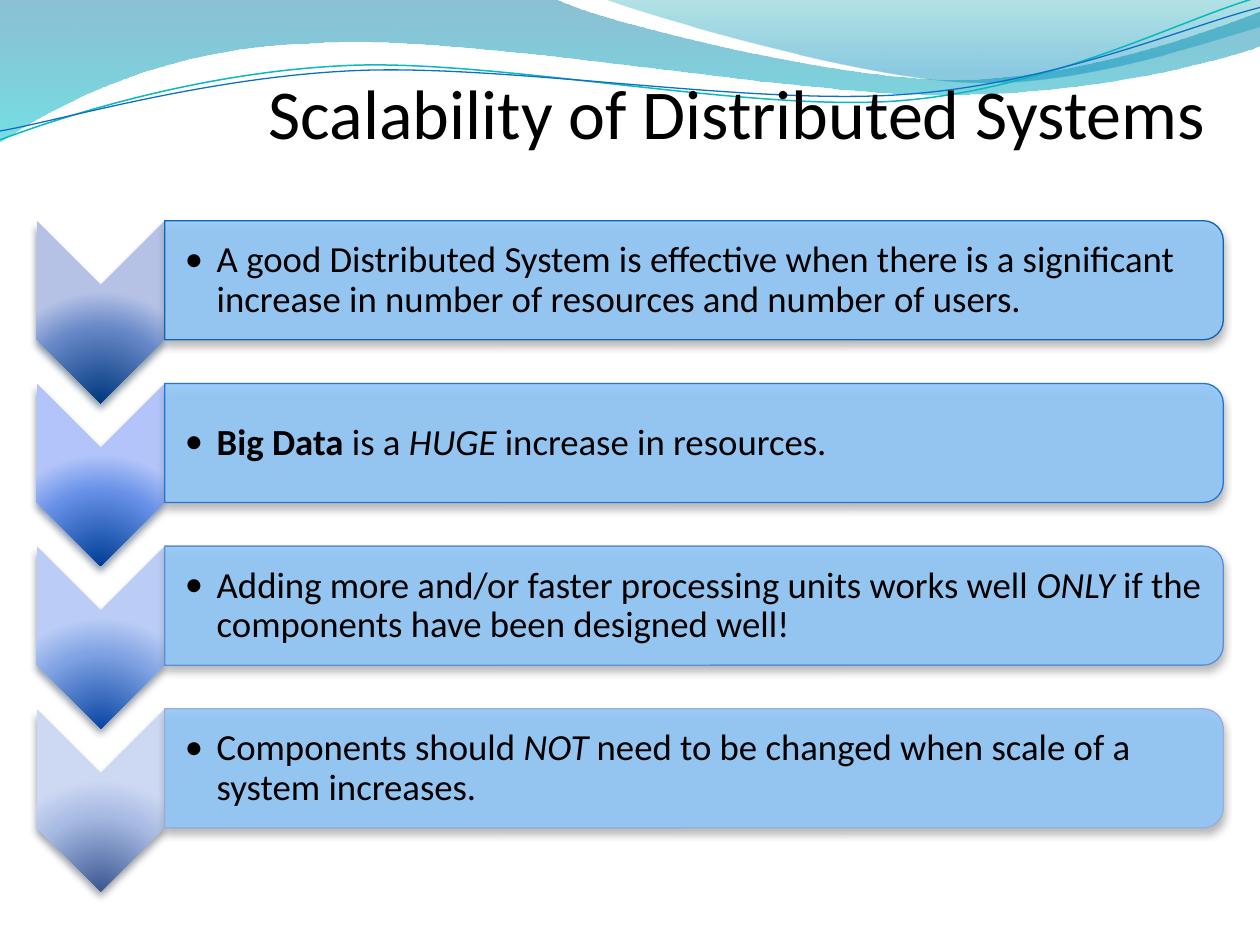
import lxml.etree
import math
import pptx
import pptx.dml.color
import pptx.enum.shapes
import pptx.enum.text
import pptx.oxml
import pptx.oxml.ns
import pptx.util

Cm, Pt = pptx.util.Cm, pptx.util.Pt
qn = pptx.oxml.ns.qn
PRESETS = pptx.enum.shapes.MSO_SHAPE
INCH = Cm(2.54)
UNITS = 1000  # freeform units to the inch

# Waves: a start point, then lines (one point) and Bézier curves (three points), in inches
BROAD_WAVE = [[(0, 0)], [(4.4, -0.01)],
              [(4.76, 0.17), (6.64, 0.63), (7.58, 0.63)],
              [(8.53, 0.63), (9.58, 0.26), (10, 0.09)], [(10.01, 0.36)],
              [(9.83, 0.44), (8.7, 0.76), (7.46, 0.75)],
              [(6.22, 0.75), (3.82, 0.28), (2.57, 0.34)],
              [(1.29, 0.36), (0.46, 0.83), (-0.01, 1.13)], [(0, 0)]]
RIGHT_WAVE = [[(4.79, -0.01)], [(5.09, 0.11), (6.82, 0.62), (7.69, 0.65)],
              [(8.56, 0.69), (9.61, 0.32), (10, 0.21)], [(10, 0)], [(4.79, -0.01)]]
TEAL_CURVE = [[(0, 1.11)], [(0.48, 0.93), (1.58, 0.57), (2.77, 0.52)],
              [(3.95, 0.47), (5.93, 0.89), (7.13, 0.8)],
              [(8.33, 0.71), (9.38, 0.15), (9.98, -0.02)]]
BLUE_CURVE = [[(0, 1.04)], [(0.47, 0.96), (1.64, 0.61), (2.83, 0.56)],
              [(4.03, 0.51), (5.97, 0.84), (7.17, 0.75)],
              [(8.36, 0.67), (9.41, 0.21), (10, 0.06)]]
CURVE_TILT = -2.7

# Rows: chevron gradient, chevron shadow, bar outline, spans of (text, format)
ROWS = [
    (("00387E", "6788C7", "B5C2E6"), "032341", "0E65B4",
     [("A good Distributed System is effective when there is a significant "
       "increase in number of resources and number of users.", {})]),
    (("003E96", "6791E7", "B2C4F9"), "0A294E", "2276D9",
     [("Big Data ", {"bold": True}), ("is a ", {}), ("HUGE", {"italic": True}),
      (" increase in resources.", {})]),
    (("0A45A4", "80A3E3", "BBCDF6"), "21324C", "608ED6",
     [("Adding more and/or faster processing units works well ", {}),
      ("ONLY ", {"italic": True}),
      ("if the components have been designed well!", {})]),
    (("3B5791", "A7BAE3", "CDD8F3"), "353D4D", "98ADD9",
     [("Components should ", {}), ("NOT", {"italic": True}),
      (" need to be changed when scale of a system increases.", {})]),
]
ROW_PITCH = 3.28


def color(value):
    return pptx.dml.color.RGBColor.from_string(value)


def apply(target, values):
    for name, value in values.items():
        setattr(target, name, value)


def add_xml(parent, tag, **attributes):
    return lxml.etree.SubElement(
        parent, qn(tag), {name: str(value) for name, value in attributes.items()})


def add_color(parent, value, opacity=100):
    node = add_xml(parent, "a:srgbClr", val=value)
    if opacity < 100:
        add_xml(node, "a:alpha", val=opacity * 1000)


def turn(point, center, degrees):
    angle = math.radians(degrees)
    x, y = point[0] - center[0], point[1] - center[1]
    return (center[0] + x * math.cos(angle) - y * math.sin(angle),
            center[1] + x * math.sin(angle) + y * math.cos(angle))


class SlideBuilder:
    font = "Calibri"
    ink = "000000"
    bar_fill = "91C6F7"
    bar_shadow = "5A5A5A"

    def __init__(self, deck):
        self.page = deck.slides.add_slide(deck.slide_layouts[5])

    def style_span(self, span, size, **values):
        apply(span.font, {"name": self.font, "size": Pt(size), **values})
        span.font.color.rgb = color(self.ink)

    def gradient(self, shape, stops, circular=False):
        """Fill with stops of (position, colour, opacity), downwards or from a circle."""
        shape.fill.solid()
        solid = shape.element.spPr.find(qn("a:solidFill"))
        fill = pptx.oxml.parse_xml(
            f'<a:gradFill {pptx.oxml.ns.nsdecls("a")} rotWithShape="1"/>')
        stop_list = add_xml(fill, "a:gsLst")
        for position, value, opacity in stops:
            add_color(add_xml(stop_list, "a:gs", pos=position * 1000), value, opacity)
        if circular:
            add_xml(add_xml(fill, "a:path", path="circle"), "a:fillToRect",
                    l=50000, t=130000, r=50000, b=-30000)
        else:
            add_xml(fill, "a:lin", ang=5400000, scaled=1)
        solid.getparent().replace(solid, fill)

    def outline(self, shape, value, width):
        shape.line.color.rgb = color(value)
        shape.line.width = Pt(width)

    def drop_shadow(self, shape, value):
        effects = shape.element.spPr.find(qn("a:effectLst"))
        add_color(add_xml(effects, "a:outerShdw", blurRad=Pt(4.5), dist=Pt(3),
                          dir=5400000, rotWithShape=0), value, 48)

    def freeform(self, segments, close):
        points = [(x * UNITS, y * UNITS) for segment in segments for x, y in segment]
        builder = self.page.shapes.build_freeform(*points[0], scale=INCH / UNITS)
        builder.add_line_segments(points[1:], close=close)
        shape = builder.convert_to_shape()
        shape.shadow.inherit = False
        lines = iter(list(shape.element.iter(qn("a:lnTo"))))
        for segment in segments[1:]:
            first = next(lines)
            if len(segment) == 3:  # join three points into one Bézier curve
                bezier = lxml.etree.Element(qn("a:cubicBezTo"))
                first.addprevious(bezier)
                for line in (first, next(lines), next(lines)):
                    bezier.append(line[0])
                    line.getparent().remove(line)
        return shape

    def wave(self, segments, stops):
        shape = self.freeform(segments, close=True)
        self.gradient(shape, stops)
        shape.line.fill.background()

    def curve(self, segments, center, value, width):
        level = [[turn(point, center, -CURVE_TILT) for point in segment]
                 for segment in segments]
        shape = self.freeform(level, close=False)
        shape.rotation = CURVE_TILT
        shape.fill.background()
        self.outline(shape, value, width)

    def turned_shape(self, preset, left, top, width, height):
        shape = self.page.shapes.add_shape(preset, Cm(left), Cm(top), Cm(width), Cm(height))
        shape.rotation = 90
        shape.shadow.inherit = False
        return shape

    def chevron(self, offset, colors, shadow):
        shape = self.turned_shape(PRESETS.CHEVRON, 0.19, 5 + offset, 3.68, 2.58)
        self.gradient(shape, [(position, value, 100)
                              for position, value in zip((0, 68, 100), colors)], circular=True)
        shape.line.fill.background()
        self.drop_shadow(shape, shadow)

    def bar(self, offset, line):
        shape = self.turned_shape(PRESETS.ROUND_2_SAME_RECTANGLE,
                                  12.79, -5.02 + offset, 2.4, 21.34)
        shape.fill.solid()
        shape.fill.fore_color.rgb = color(self.bar_fill)
        add_xml(shape.element.spPr.find(qn("a:solidFill"))[0], "a:alpha", val=90000)
        self.outline(shape, line, 0.75)
        self.drop_shadow(shape, self.bar_shadow)

    def bullet(self, offset, spans):
        box = self.page.shapes.add_textbox(Cm(3.32), Cm(4.58 + offset), Cm(21.23), Cm(2.16))
        apply(box.text_frame, {
            "word_wrap": True, "vertical_anchor": pptx.enum.text.MSO_ANCHOR.MIDDLE,
            "margin_left": Cm(0.41), "margin_right": Cm(0.03),
            "margin_top": Cm(0.03), "margin_bottom": Cm(0.03)})
        para = box.text_frame.paragraphs[0]
        apply(para, {"level": 1, "line_spacing": 0.9})
        properties = para._p.get_or_add_pPr()
        properties.set("marL", str(Cm(0.64)))
        properties.set("indent", str(Cm(-0.64)))
        add_xml(add_xml(properties, "a:spcAft"), "a:spcPct", val=15000)
        add_xml(properties, "a:buFont", typeface=self.font)
        add_xml(properties, "a:buChar", char="•")
        for text, values in spans:
            span = para.add_run()
            span.text = text
            self.style_span(span, 21, **values)

    def title(self, text):
        box = self.page.shapes.title
        apply(box, {"left": Cm(0.85), "top": Cm(1.27), "width": Cm(23.7), "height": Cm(1.96)})
        apply(box.text_frame, {"word_wrap": True, "text": text,
                               "vertical_anchor": pptx.enum.text.MSO_ANCHOR.TOP,
                               "auto_size": pptx.enum.text.MSO_AUTO_SIZE.SHAPE_TO_FIT_TEXT})
        para = box.text_frame.paragraphs[0]
        para.alignment = pptx.enum.text.PP_ALIGN.RIGHT
        self.style_span(para.runs[0], 40)
        box.element.getparent().append(box.element)  # in front of the waves


def main():
    deck = pptx.Presentation()
    deck.slide_width, deck.slide_height = Cm(25.4), Cm(19.05)
    builder = SlideBuilder(deck)
    builder.wave(BROAD_WAVE, [(0, "0074A1", 45), (100, "00C6CF", 55)])
    builder.wave(RIGHT_WAVE, [(0, "00A1A9", 30), (80, "008BBF", 45)])
    builder.curve(TEAL_CURVE, (4.99, 0.58), "0AB8BF", 0.85)
    builder.curve(BLUE_CURVE, (5, 0.59), "0F6FC6", 0.75)
    for index, (colors, shadow, line, spans) in enumerate(ROWS):
        offset = index * ROW_PITCH
        builder.chevron(offset, colors, shadow)
        builder.bar(offset, line)
        builder.bullet(offset, spans)
    builder.title("Scalability of Distributed Systems")
    deck.save("out.pptx")


if __name__ == "__main__":
    main()
